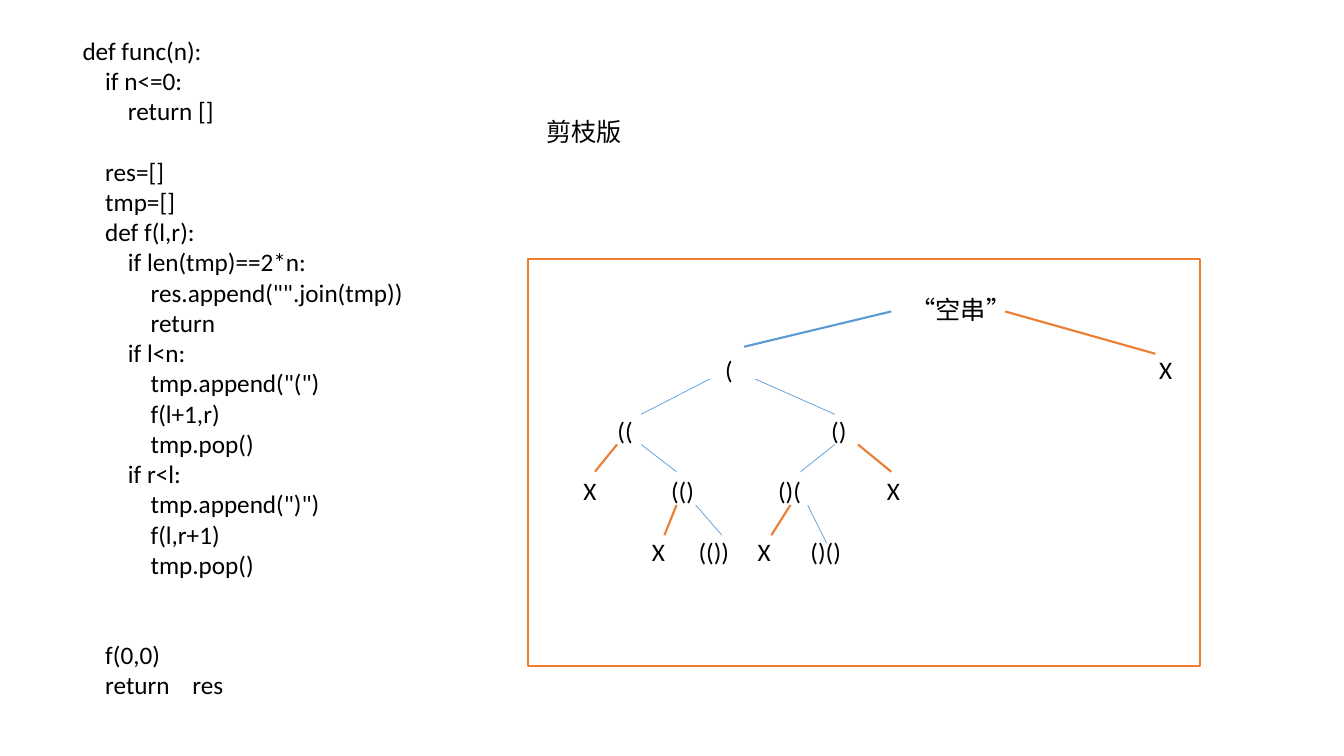
from dataclasses import dataclass
from typing import NamedTuple

from lxml import etree
from pptx import Presentation
from pptx.dml.color import RGBColor
from pptx.enum.shapes import MSO_CONNECTOR, MSO_SHAPE
from pptx.enum.text import MSO_ANCHOR, PP_ALIGN
from pptx.oxml.ns import qn
from pptx.slide import Slide
from pptx.text.text import _Paragraph
from pptx.util import Inches, Pt

STRAIGHT = MSO_CONNECTOR.STRAIGHT
RECTANGLE = MSO_SHAPE.RECTANGLE
MIDDLE = MSO_ANCHOR.MIDDLE
CENTER = PP_ALIGN.CENTER


@dataclass(frozen=True)
class Theme:
    font: str = "Calibri"
    text_size: float = 18
    text: RGBColor = RGBColor(0x00, 0x00, 0x00)
    kept: RGBColor = RGBColor(0x5B, 0x9B, 0xD5)
    pruned: RGBColor = RGBColor(0xED, 0x7D, 0x31)
    thin: float = 0.5
    thick: float = 1.5


class CodeLine(NamedTuple):
    level: int
    text: str
    blank_before: int = 0


class Node(NamedTuple):
    text: str
    center: float
    row: int
    width: float = 0.45


class Branch(NamedTuple):
    start: tuple[float, float]
    end: tuple[float, float]
    color: RGBColor
    width: float


THEME = Theme()
BLANK_POINTS = 21.5
INDENT = 0.225
RESULT_TAB = 1.09
FIRST_ROW, ROW_STEP, ROW_HEIGHT = 3.07, 0.6, 0.3

CODE = [
    CodeLine(0, "def func(n):"),
    CodeLine(1, "if n<=0:"),
    CodeLine(2, "return []"),
    CodeLine(1, "res=[]", 1),
    CodeLine(1, "tmp=[]"),
    CodeLine(1, "def f(l,r):"),
    CodeLine(2, "if len(tmp)==2*n:"),
    CodeLine(3, 'res.append("".join(tmp))'),
    CodeLine(3, "return"),
    CodeLine(2, "if l<n:"),
    CodeLine(3, 'tmp.append("(")'),
    CodeLine(3, "f(l+1,r)"),
    CodeLine(3, "tmp.pop()"),
    CodeLine(2, "if r<l:"),
    CodeLine(3, 'tmp.append(")")'),
    CodeLine(3, "f(l,r+1)"),
    CodeLine(3, "tmp.pop()"),
    CodeLine(1, "f(0,0)", 2),
    CodeLine(0, "\treturn\tres"),
]

NODES = [
    Node("“空串”", 9.53, 0, 1.2),
    Node("(", 7.23, 1),
    Node("X", 11.56, 1),
    Node("((", 6.2, 2),
    Node("()", 8.32, 2),
    Node("X", 5.85, 3),
    Node("(()", 6.77, 3),
    Node("()(", 7.83, 3),
    Node("X", 8.86, 3),
    Node("X", 6.53, 4),
    Node("(())", 7.08, 4),
    Node("X", 7.58, 4),
    Node("()()", 8.19, 4),
]

BRANCHES = [
    Branch((8.84, 3.09), (7.38, 3.44), THEME.kept, THEME.thick),
    Branch((9.97, 3.09), (11.46, 3.51), THEME.pruned, THEME.thick),
    Branch((7.04, 3.76), (6.36, 4.11), THEME.kept, THEME.thin),
    Branch((7.49, 3.76), (8.28, 4.11), THEME.kept, THEME.thin),
    Branch((6.12, 4.41), (5.9, 4.68), THEME.pruned, THEME.thick),
    Branch((6.36, 4.41), (6.71, 4.68), THEME.kept, THEME.thin),
    Branch((8.28, 4.41), (7.94, 4.68), THEME.kept, THEME.thin),
    Branch((8.51, 4.41), (8.84, 4.68), THEME.pruned, THEME.thick),
    Branch((6.71, 5.01), (6.59, 5.31), THEME.pruned, THEME.thick),
    Branch((6.9, 5.01), (7.16, 5.31), THEME.kept, THEME.thin),
    Branch((7.84, 5.01), (7.65, 5.31), THEME.pruned, THEME.thick),
    Branch((8.01, 5.01), (8.2, 5.39), THEME.kept, THEME.thin),
]


def write(para: _Paragraph, text: str) -> None:
    para.text = text
    para.font.name = THEME.font
    para.font.size = Pt(THEME.text_size)
    para.font.color.rgb = THEME.text


def add_tab_stops(para: _Paragraph, positions: list[float]) -> None:
    stops = etree.SubElement(para._p.get_or_add_pPr(), qn("a:tabLst"))
    for position in positions:
        etree.SubElement(stops, qn("a:tab"), pos=str(Inches(position)), algn="l")


def draw_code(page: Slide, lines: list[CodeLine]) -> None:
    box = page.shapes.add_textbox(Inches(0.72), Inches(0.3), Inches(4.81), Inches(6.77))
    frame = box.text_frame
    frame.word_wrap = True
    for index, line in enumerate(lines):
        para = frame.add_paragraph() if index else frame.paragraphs[0]
        write(para, line.text)
        if line.level:
            properties = para._p.get_or_add_pPr()
            properties.set("marL", str(Inches(INDENT * line.level)))
            properties.set("indent", "0")
        if line.blank_before:
            para.space_before = Pt(BLANK_POINTS * line.blank_before)
        if "\t" in line.text:
            add_tab_stops(para, [INDENT, RESULT_TAB])


def draw_title(page: Slide) -> None:
    box = page.shapes.add_textbox(Inches(5.32), Inches(1.1), Inches(0.96), Inches(0.4))
    box.text_frame.word_wrap = False
    write(box.text_frame.paragraphs[0], "剪枝版")


def draw_tree_border(page: Slide) -> None:
    border = page.shapes.add_shape(
        RECTANGLE, Inches(5.24), Inches(2.57), Inches(6.66), Inches(4.04))
    border.shadow.inherit = False
    border.fill.background()
    border.line.color.rgb = THEME.pruned
    border.line.width = Pt(THEME.thick)


def draw_node(page: Slide, node: Node) -> None:
    left = node.center - node.width / 2
    top = FIRST_ROW + ROW_STEP * node.row - ROW_HEIGHT / 2
    box = page.shapes.add_textbox(
        Inches(left), Inches(top), Inches(node.width), Inches(ROW_HEIGHT))
    frame = box.text_frame
    frame.word_wrap = True
    frame.vertical_anchor = MIDDLE
    frame.margin_left = frame.margin_right = frame.margin_top = frame.margin_bottom = 0
    para = frame.paragraphs[0]
    para.alignment = CENTER
    write(para, node.text)


def draw_branch(page: Slide, branch: Branch) -> None:
    ends = [Inches(value) for value in branch.start + branch.end]
    connector = page.shapes.add_connector(STRAIGHT, *ends)
    connector.line.color.rgb = branch.color
    connector.line.width = Pt(branch.width)
    etree.SubElement(connector._element.spPr, qn("a:effectLst"))


def main() -> None:
    deck = Presentation()
    deck.slide_width, deck.slide_height = Inches(13.33), Inches(7.5)
    page = deck.slides.add_slide(deck.slide_layouts[6])
    draw_code(page, CODE)
    draw_title(page)
    draw_tree_border(page)
    for node in NODES:
        draw_node(page, node)
    for branch in BRANCHES:
        draw_branch(page, branch)
    deck.save("out.pptx")


if __name__ == "__main__":
    main()
